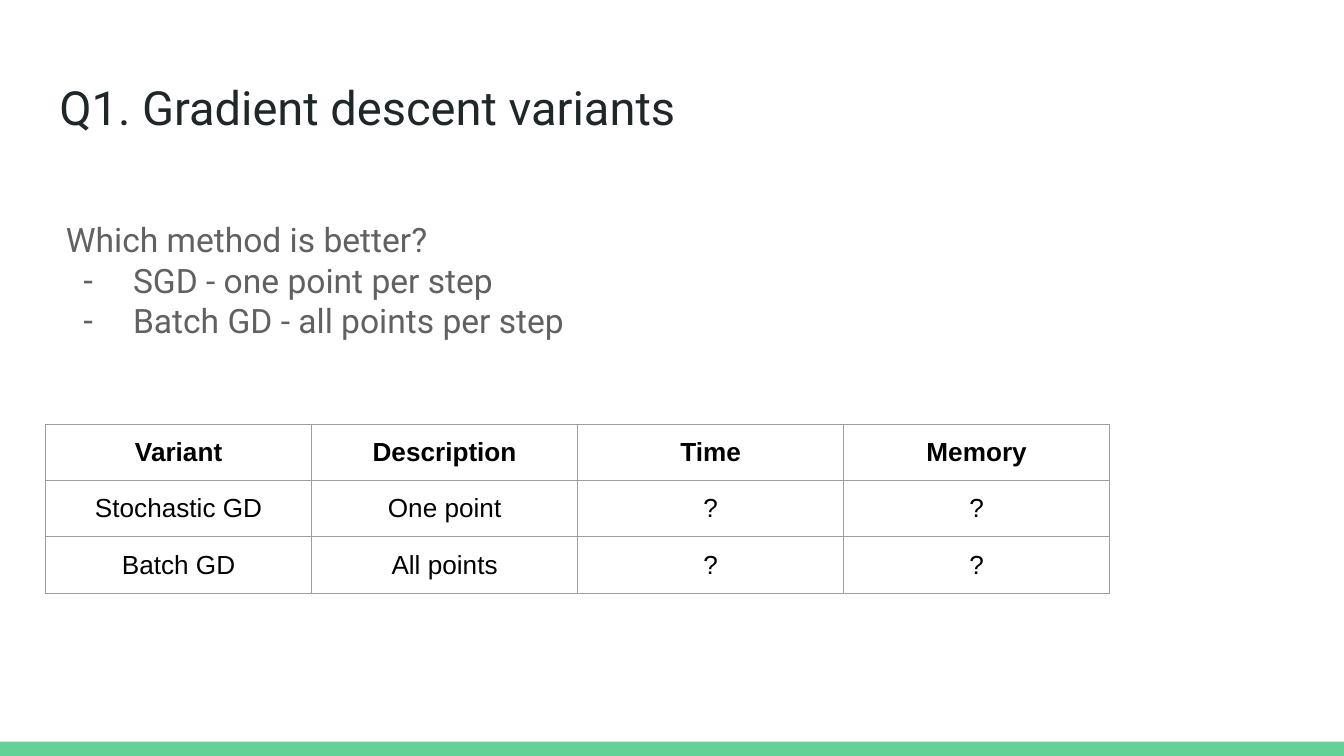
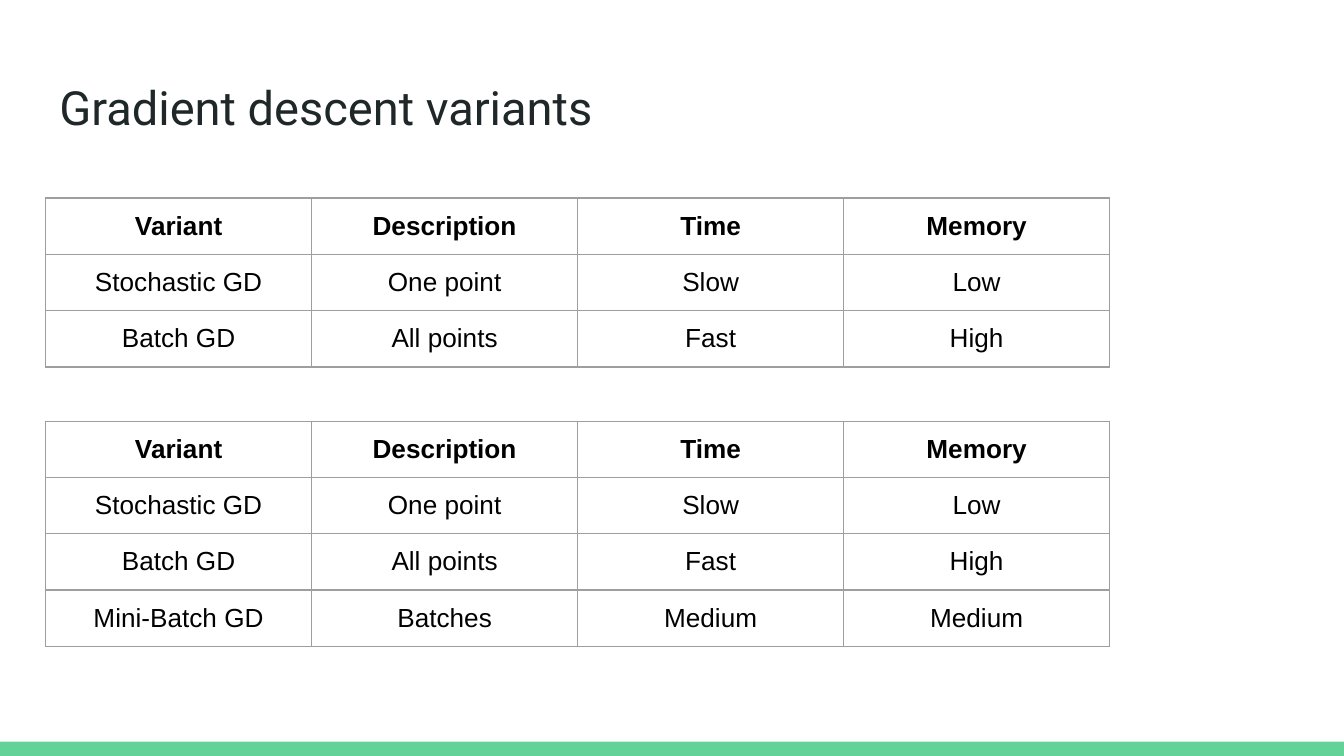
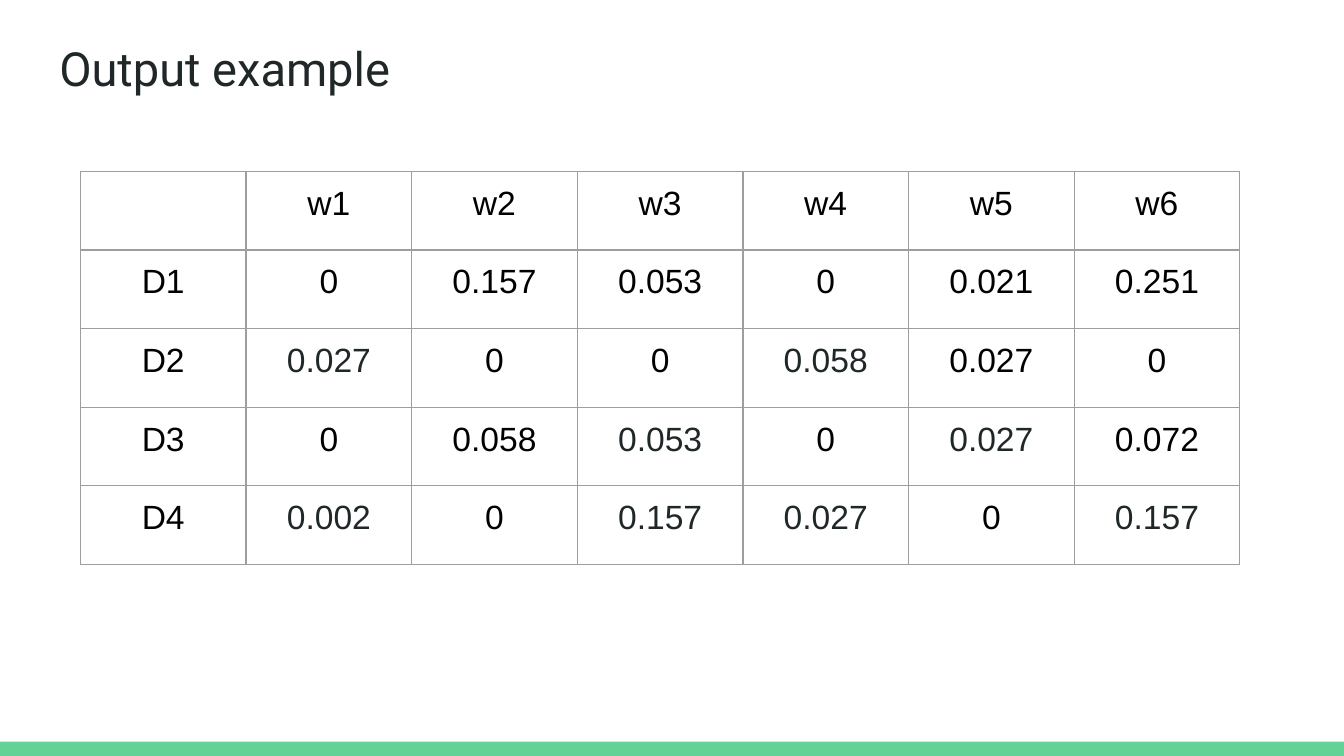
from pptx import Presentation
from pptx.dml.color import RGBColor
from pptx.enum.shapes import MSO_SHAPE
from pptx.enum.text import MSO_ANCHOR, MSO_AUTO_SIZE, PP_ALIGN
from pptx.oxml import parse_xml
from pptx.oxml.ns import nsdecls
from pptx.oxml.xmlchemy import OxmlElement
from pptx.util import Pt

# Content
HEADER = ("Variant", "Description", "Time", "Memory")
OPEN_QUESTION = [
    HEADER,
    ("Stochastic GD", "One point", "?", "?"),
    ("Batch GD", "All points", "?", "?"),
]
TWO_VARIANTS = [
    HEADER,
    ("Stochastic GD", "One point", "Slow", "Low"),
    ("Batch GD", "All points", "Fast", "High"),
]
THREE_VARIANTS = TWO_VARIANTS + [("Mini-Batch GD", "Batches", "Medium", "Medium")]
WORD_WEIGHTS = [
    ("", "w1", "w2", "w3", "w4", "w5", "w6"),
    ("D1", "0", "0.157", "0.053", "0", "0.021", "0.251"),
    ("D2", "0.027", "0", "0", "0.058", "0.027", "0"),
    ("D3", "0", "0.058", "0.053", "0", "0.027", "0.072"),
    ("D4", "0.002", "0", "0.157", "0.027", "0", "0.157"),
]
SOFT_WEIGHTS = {(2, 1), (2, 4), (3, 3), (3, 5), (4, 1), (4, 3), (4, 4), (4, 6)}

VARIANT_GRID = {"column": 142.5, "row": 30, "size": 14, "bold_header": True}
WEIGHT_GRID = {"column": 88.75, "row": 42.15, "size": 18, "soft": SOFT_WEIGHTS}

SLIDES = [
    {
        "title": "Q1. Gradient descent variants",
        "title_top": 34.9,
        "question": "Which method is better?",
        "answers": ["SGD - one point per step", "Batch GD - all points per step"],
        "tables": [(24.45, 227.3, OPEN_QUESTION, VARIANT_GRID)],
    },
    {
        "title": "Gradient descent variants",
        "title_top": 34.9,
        "tables": [
            (24.45, 106.1, TWO_VARIANTS, VARIANT_GRID),
            (24.45, 225.6, THREE_VARIANTS, VARIANT_GRID),
        ],
    },
    {
        "title": "Output example",
        "title_top": 14.1,
        "tables": [(43.1, 91.8, WORD_WEIGHTS, WEIGHT_GRID)],
    },
]

# Shared look
COLORS = {
    "band": "63D297",
    "title": "202729",
    "body": "616161",
    "cell": "000000",
    "border": "9E9E9E",
}
SLIDE_WIDTH, SLIDE_HEIGHT, BAND_HEIGHT = 720, 405, 7.7
TABLE_FRAME = 236.2
TITLE_FONT = {"name": "Roboto", "size": Pt(25.2), "bold": False}
BODY_FONT = {"name": "Roboto", "size": Pt(18)}
MARGINS = {f"margin_{side}": Pt(7.2) for side in ("left", "top", "right", "bottom")}
FRAME = {
    **MARGINS,
    "word_wrap": True,
    "auto_size": MSO_AUTO_SIZE.NONE,
    "vertical_anchor": MSO_ANCHOR.TOP,
}
TIGHT = {"alignment": PP_ALIGN.LEFT, "space_before": Pt(0), "space_after": Pt(0)}


def apply(target, values):
    for name, value in values.items():
        setattr(target, name, value)


def style_font(font, values, color):
    apply(font, values)
    font.color.rgb = RGBColor.from_string(COLORS[color])


def place(shape, left, top, width, height):
    box = {"left": left, "top": top, "width": width, "height": height}
    apply(shape, {name: Pt(value) for name, value in box.items()})


def add_band(presentation, slide):
    """Draw the bottom band and hand it to the master, behind every slide."""
    band = slide.shapes.add_shape(
        MSO_SHAPE.RECTANGLE, Pt(0), Pt(SLIDE_HEIGHT - BAND_HEIGHT),
        Pt(SLIDE_WIDTH), Pt(BAND_HEIGHT))
    band.shadow.inherit = False
    band.fill.solid()
    band.fill.fore_color.rgb = RGBColor.from_string(COLORS["band"])
    band.line.fill.background()
    band.element.nvSpPr.cNvPr.set("id", "100")
    presentation.slide_master.shapes.element.append(band.element)


def fill_title(slide, text, top):
    title = slide.shapes.title
    place(title, 24.55, top, 671, 45)
    apply(title.text_frame, {**FRAME, "text": text})
    paragraph = title.text_frame.paragraphs[0]
    apply(paragraph, TIGHT)
    style_font(paragraph.runs[0].font, TITLE_FONT, "title")


def set_bullet(paragraph, character):
    properties = paragraph._p.get_or_add_pPr()
    indent = (36, -27) if character else (0, 0)
    for name, value in zip(("marL", "indent"), indent):
        properties.set(name, str(Pt(value)))
    bullet = OxmlElement("a:buChar" if character else "a:buNone")
    if character:
        bullet.set("char", character)
    properties.append(bullet)


def fill_body(slide, question, answers):
    body = slide.placeholders[1]
    place(body, 28.05, 110.2, 316, 80)
    frame = body.text_frame
    apply(frame, {**FRAME, "text": "\n".join([question, *answers])})
    for index, paragraph in enumerate(frame.paragraphs):
        apply(paragraph, TIGHT)
        set_bullet(paragraph, "-" if index else None)
        style_font(paragraph.runs[0].font, BODY_FONT, "body")


def add_borders(cell):
    properties = cell._tc.get_or_add_tcPr()
    for side in "LRTB":
        properties.append(parse_xml(
            f'<a:ln{side} {nsdecls("a")} w="{Pt(0.75)}"><a:solidFill>'
            f'<a:srgbClr val="{COLORS["border"]}"/></a:solidFill></a:ln{side}>'))


def add_grid(slide, left, top, rows, grid):
    shape = slide.shapes.add_table(
        len(rows), len(rows[0]), Pt(left), Pt(top), Pt(TABLE_FRAME), Pt(TABLE_FRAME))
    table = shape.table
    apply(table, {"first_row": False, "horz_banding": False})
    for column in table.columns:
        column.width = Pt(grid["column"])
    for row_index, values in enumerate(rows):
        table.rows[row_index].height = Pt(grid["row"])
        for column_index, text in enumerate(values):
            cell = table.cell(row_index, column_index)
            apply(cell, {**MARGINS, "text": text})
            add_borders(cell)
            cell.fill.background()
            paragraph = cell.text_frame.paragraphs[0]
            paragraph.alignment = PP_ALIGN.CENTER
            soft = (row_index, column_index) in grid.get("soft", ())
            bold = row_index == 0 and grid.get("bold_header", False)
            font_values = {"name": "Arial", "size": Pt(grid["size"]), "bold": bold}
            for run in paragraph.runs:
                style_font(run.font, font_values, "title" if soft else "cell")
    # Sizing rows and columns resizes the frame, so it is set last
    place(shape, left, top, TABLE_FRAME, TABLE_FRAME)


def main():
    presentation = Presentation()
    apply(presentation, {"slide_width": Pt(SLIDE_WIDTH), "slide_height": Pt(SLIDE_HEIGHT)})
    title_and_body, title_only = (presentation.slide_layouts[i] for i in (1, 5))
    for number, content in enumerate(SLIDES):
        has_body = "question" in content
        slide = presentation.slides.add_slide(title_and_body if has_body else title_only)
        if number == 0:
            add_band(presentation, slide)
        fill_title(slide, content["title"], content["title_top"])
        if has_body:
            fill_body(slide, content["question"], content["answers"])
        for table in content["tables"]:
            add_grid(slide, *table)
    presentation.save("out.pptx")


if __name__ == "__main__":
    main()
